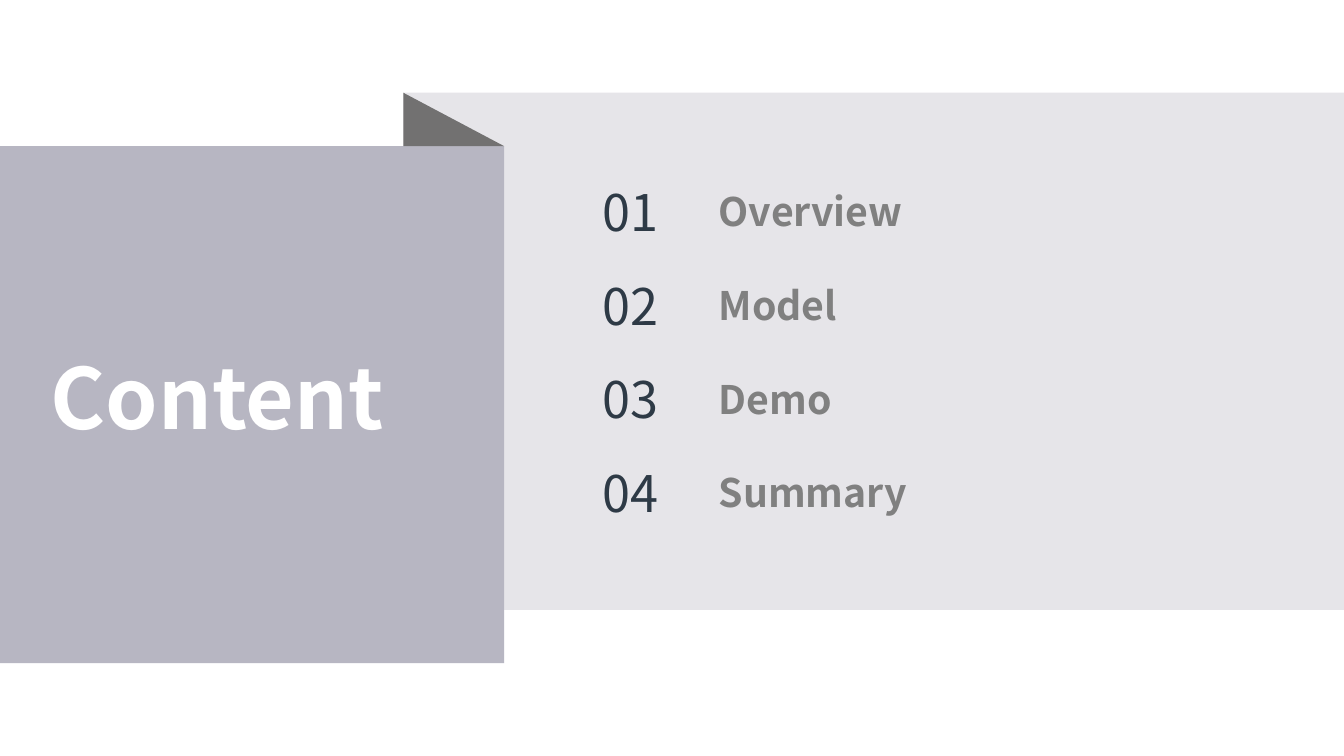
from pptx import Presentation
from pptx.dml.color import RGBColor
from pptx.enum.shapes import MSO_SHAPE
from pptx.enum.text import MSO_ANCHOR, PP_ALIGN
from pptx.util import Inches, Pt

RECTANGLE, TRIANGLE = MSO_SHAPE.RECTANGLE, MSO_SHAPE.RIGHT_TRIANGLE
LEFT, CENTER = PP_ALIGN.LEFT, PP_ALIGN.CENTER
MIDDLE = MSO_ANCHOR.MIDDLE

# Content
TITLE = "Content"
SECTIONS = ["Overview", "Model", "Demo", "Summary"]

# Ribbon parts, back to front: shape, (left, top, width, height), fill
RIBBON = [
    (RECTANGLE, (4, 0.92, 9.34, 5.13), "E6E5E9"),
    (RECTANGLE, (0, 1.45, 5, 5.13), "B7B6C2"),
    (TRIANGLE, (4, 0.92, 1, 0.53), "727171"),
]

# Text formats
FONT = "Noto Sans CJK SC"
TITLE_FORMAT = {"name": FONT, "size": Pt(60), "bold": True}
LABEL_FORMAT = {"name": FONT, "size": Pt(28), "bold": True}
NUMBER_FORMAT = {"name": FONT, "size": Pt(36), "bold": False}

# Layout of the list
TITLE_BOX = (0.4, 3.42, 4.13, 1.11)
NUMBER_LEFT, NUMBER_TOP, NUMBER_SIZE = 5.64, 1.77, (1.23, 0.71)
LABEL_LEFT, LABEL_TOP, LABEL_SIZE = 7.03, 1.83, (4.4, 0.57)
ROW_PITCH = 0.93


def color(hex_string):
    return RGBColor.from_string(hex_string)


def inches(box):
    return [Inches(length) for length in box]


def write(shape, text, font_format, text_color, alignment=LEFT):
    frame = shape.text_frame
    frame.word_wrap = True
    frame.vertical_anchor = MIDDLE
    paragraph = frame.paragraphs[0]
    paragraph.alignment = alignment
    paragraph.line_spacing = 0.95
    run = paragraph.add_run()
    run.text = text
    for attribute, value in font_format.items():
        setattr(run.font, attribute, value)
    run.font.color.rgb = color(text_color)


def add_ribbon(slide):
    for kind, box, fill in RIBBON:
        shape = slide.shapes.add_shape(kind, *inches(box))
        shape.shadow.inherit = False
        shape.fill.solid()
        shape.fill.fore_color.rgb = color(fill)
        shape.line.fill.background()


def add_title(slide):
    title = slide.shapes.title
    title.left, title.top, title.width, title.height = inches(TITLE_BOX)
    write(title, TITLE, TITLE_FORMAT, "FFFFFF")
    # Bring the title in front of the ribbon
    title.element.getparent().append(title.element)


def add_sections(slide):
    for row, section in enumerate(SECTIONS):
        offset = row * ROW_PITCH
        label_box = (LABEL_LEFT, LABEL_TOP + offset, *LABEL_SIZE)
        label = slide.shapes.add_textbox(*inches(label_box))
        write(label, section, LABEL_FORMAT, "808080")
        number_box = (NUMBER_LEFT, NUMBER_TOP + offset, *NUMBER_SIZE)
        number = slide.shapes.add_textbox(*inches(number_box))
        write(number, f"{row + 1:02d}", NUMBER_FORMAT, "2E3A46", CENTER)


def main():
    presentation = Presentation()
    presentation.slide_width = Inches(13.33)
    presentation.slide_height = Inches(7.5)
    title_only = presentation.slide_layouts[5]
    slide = presentation.slides.add_slide(title_only)
    add_ribbon(slide)
    add_title(slide)
    add_sections(slide)
    presentation.save("out.pptx")


if __name__ == "__main__":
    main()
